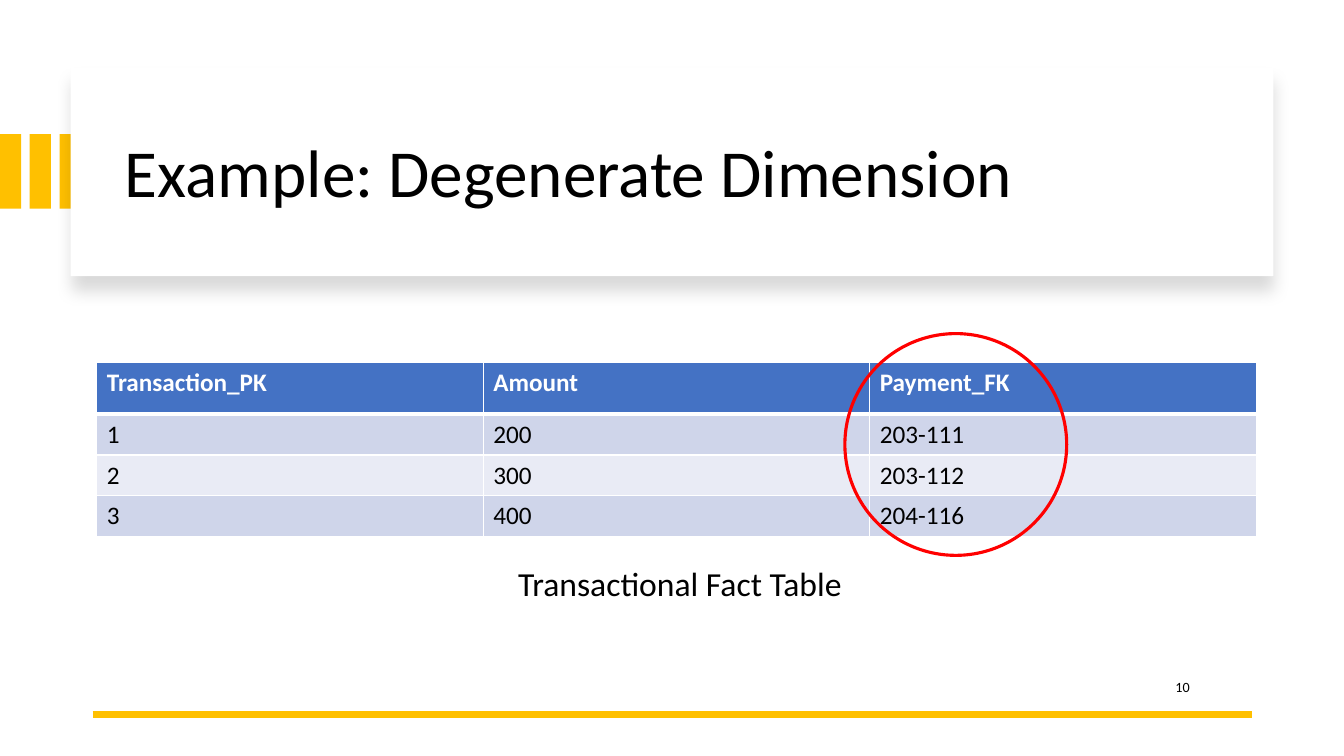
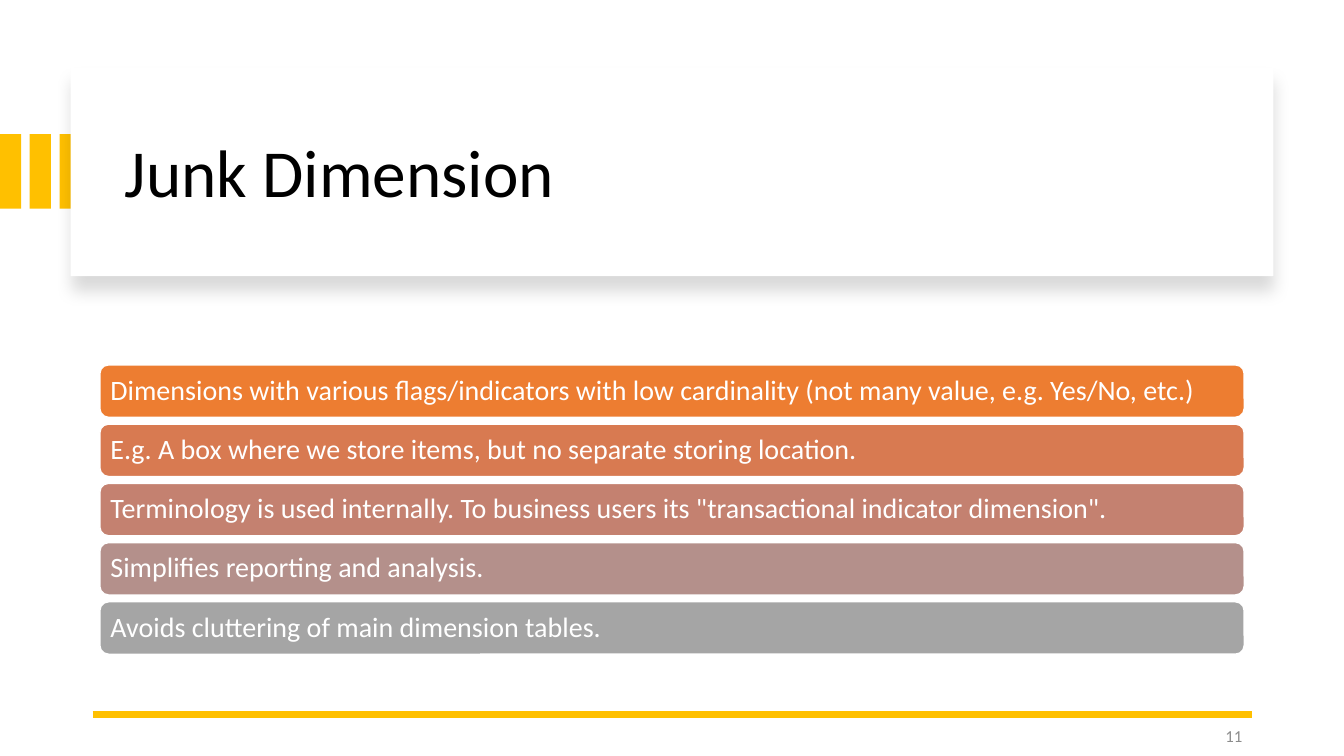
import pptx
import pptx.dml.color
import pptx.enum.shapes
import pptx.enum.text
import pptx.oxml
import pptx.oxml.ns
import pptx.util

Inches, Pt = pptx.util.Inches, pptx.util.Pt
RGBColor = pptx.dml.color.RGBColor
SHAPE = pptx.enum.shapes.MSO_SHAPE
ALIGN = pptx.enum.text.PP_ALIGN
ANCHOR = pptx.enum.text.MSO_ANCHOR

FONT = "Calibri"
WHITE = RGBColor(0xFF, 0xFF, 0xFF)
BLACK = RGBColor(0, 0, 0)
GOLD = RGBColor(0xFF, 0xC0, 0x00)
RED = RGBColor(0xFF, 0, 0)
GREY = RGBColor(0x8C, 0x8C, 0x8C)
HEADER_BLUE = RGBColor(0x44, 0x72, 0xC4)
ROW_FILLS = (RGBColor(0xCF, 0xD5, 0xEA), RGBColor(0xE9, 0xEB, 0xF5))

FACT_TITLE = "Example: Degenerate Dimension"
FACT_ROWS = [
    ("Transaction_PK", "Amount", "Payment_FK"),
    ("1", "200", "203-111"),
    ("2", "300", "203-112"),
    ("3", "400", "204-116"),
]
FACT_CAPTION = "Transactional Fact Table"

JUNK_TITLE = "Junk Dimension"
JUNK_POINTS = [
    ("Dimensions with various flags/indicators with low cardinality "
     "(not many value, e.g. Yes/No, etc.)", RGBColor(0xED, 0x7D, 0x31)),
    ("E.g. A box where we store items, but no separate storing location.",
     RGBColor(0xD8, 0x7A, 0x51)),
    ('Terminology is used internally. To business users its '
     '"transactional indicator dimension".', RGBColor(0xC4, 0x81, 0x70)),
    ("Simplifies reporting and analysis.", RGBColor(0xB4, 0x90, 0x8B)),
    ("Avoids cluttering of main dimension tables.", RGBColor(0xA5, 0xA5, 0xA5)),
]

SLIDE_WIDTH, SLIDE_HEIGHT = 13.33, 7.5
RULE_LEFT, RULE_RIGHT, RULE_TOP = 0.92, 12.42, 7.09
STRIPE_COUNT, STRIPE_PITCH = 3, 0.295
TABLE_LEFT, TABLE_TOP, TABLE_WIDTH = 0.96, 3.6, 11.5
HEADER_HEIGHT, ROW_HEIGHT = 0.51, 0.405
BAR_TOP, BAR_HEIGHT, BAR_PITCH = 3.62, 0.52, 0.5875


def write(frame, text, size, color=BLACK, bold=False, align=ALIGN.LEFT,
          anchor=ANCHOR.TOP, line_spacing=1.0, wrap=True):
    frame.word_wrap = wrap
    frame.vertical_anchor = anchor
    para = frame.paragraphs[0]
    para.alignment = align
    para.line_spacing = line_spacing
    span = para.add_run()
    span.text = text
    span.font.name, span.font.size = FONT, Pt(size)
    span.font.bold, span.font.color.rgb = bold, color


def add_text(page, place, text, size, **style):
    box = page.shapes.add_textbox(*map(Inches, place))
    write(box.text_frame, text, size, **style)


def add_block(page, kind, place, fill=None, line=None, line_width=1):
    block = page.shapes.add_shape(kind, *map(Inches, place))
    block.shadow.inherit = False
    if fill is None:
        block.fill.background()
    else:
        block.fill.solid()
        block.fill.fore_color.rgb = fill
    if line is None:
        block.line.fill.background()
    else:
        block.line.color.rgb = line
        block.line.width = Pt(line_width)
    return block


def drop_shadow(block, blur, distance, opacity):
    """Cast a soft black shadow straight down; lengths in points."""
    effects = block._element.spPr.find(pptx.oxml.ns.qn("a:effectLst"))
    effects.append(pptx.oxml.parse_xml(
        f'<a:outerShdw {pptx.oxml.ns.nsdecls("a")} blurRad="{Pt(blur)}" '
        f'dist="{Pt(distance)}" dir="5400000" algn="t" rotWithShape="0">'
        f'<a:srgbClr val="{BLACK}"><a:alpha val="{opacity * 1000}"/>'
        '</a:srgbClr></a:outerShdw>'))


def border_cell(cell, widths):
    """Draw white borders; widths maps L, R, T and B to points."""
    properties = cell._tc.get_or_add_tcPr()
    for position, (side, width) in enumerate(widths.items()):
        properties.insert(position, pptx.oxml.parse_xml(
            f'<a:ln{side} {pptx.oxml.ns.nsdecls("a")} w="{Pt(width)}">'
            f'<a:solidFill><a:srgbClr val="{WHITE}"/></a:solidFill>'
            f'</a:ln{side}>'))


def add_page(deck, title):
    """Add a slide with the stripes, title card and bottom rule."""
    page = deck.slides.add_slide(deck.slide_layouts[6])
    for index in range(STRIPE_COUNT):
        add_block(page, SHAPE.RECTANGLE,
                  (index * STRIPE_PITCH, 1.33, 0.21, 0.74), GOLD)
    card = add_block(page, SHAPE.RECTANGLE, (0.7, 0.67, 11.93, 2.07), WHITE)
    drop_shadow(card, blur=11, distance=10, opacity=15)
    add_text(page, (1.14, 0.89, 11.13, 1.7), title, 48,
             anchor=ANCHOR.MIDDLE, line_spacing=0.9)
    rule = page.shapes.add_connector(
        pptx.enum.shapes.MSO_CONNECTOR.STRAIGHT,
        *map(Inches, (RULE_LEFT, RULE_TOP, RULE_RIGHT, RULE_TOP)))
    rule.line.color.rgb = GOLD
    rule.line.width = Pt(4.5)
    rule._element.spPr.append(pptx.oxml.parse_xml(
        f'<a:effectLst {pptx.oxml.ns.nsdecls("a")}/>'))
    return page


def add_fact_table(page):
    heights = [HEADER_HEIGHT] + [ROW_HEIGHT] * (len(FACT_ROWS) - 1)
    table = page.shapes.add_table(
        len(FACT_ROWS), len(FACT_ROWS[0]),
        *map(Inches, (TABLE_LEFT, TABLE_TOP, TABLE_WIDTH, sum(heights)))).table
    for row, (values, height) in enumerate(zip(FACT_ROWS, heights)):
        header = row == 0
        table.rows[row].height = Inches(height)
        for column, value in enumerate(values):
            cell = table.cell(row, column)
            cell.fill.solid()
            cell.fill.fore_color.rgb = (
                HEADER_BLUE if header else ROW_FILLS[(row - 1) % 2])
            write(cell.text_frame, value, 18, bold=header,
                  color=WHITE if header else BLACK)
            border_cell(cell, {"L": 1, "R": 1, "T": 3 if row == 1 else 1,
                               "B": 3 if header else 1})


def add_bars(page):
    for index, (text, fill) in enumerate(JUNK_POINTS):
        bar = add_block(
            page, SHAPE.ROUNDED_RECTANGLE,
            (0.99, BAR_TOP + index * BAR_PITCH, 11.35, BAR_HEIGHT), fill, WHITE)
        frame = bar.text_frame
        frame.margin_left = frame.margin_right = Inches(0.08)
        write(frame, text, 20, color=WHITE, anchor=ANCHOR.MIDDLE,
              line_spacing=0.9)


def main():
    deck = pptx.Presentation()
    deck.slide_width, deck.slide_height = Inches(SLIDE_WIDTH), Inches(SLIDE_HEIGHT)

    page = add_page(deck, FACT_TITLE)
    add_fact_table(page)
    add_text(page, (11.56, 6.68, 1.69, 0.23), "10", 10.1)
    add_text(page, (5.04, 5.54, 3.5, 0.5), FACT_CAPTION, 24, wrap=False)
    add_block(page, SHAPE.OVAL, (8.38, 3.31, 2.2, 2.2), line=RED, line_width=2.25)

    page = add_page(deck, JUNK_TITLE)
    add_text(page, (RULE_RIGHT - 3, 7.1, 3, 0.4), "11", 12, color=GREY,
             align=ALIGN.RIGHT, anchor=ANCHOR.MIDDLE)
    add_bars(page)

    deck.save("out.pptx")


if __name__ == "__main__":
    main()
